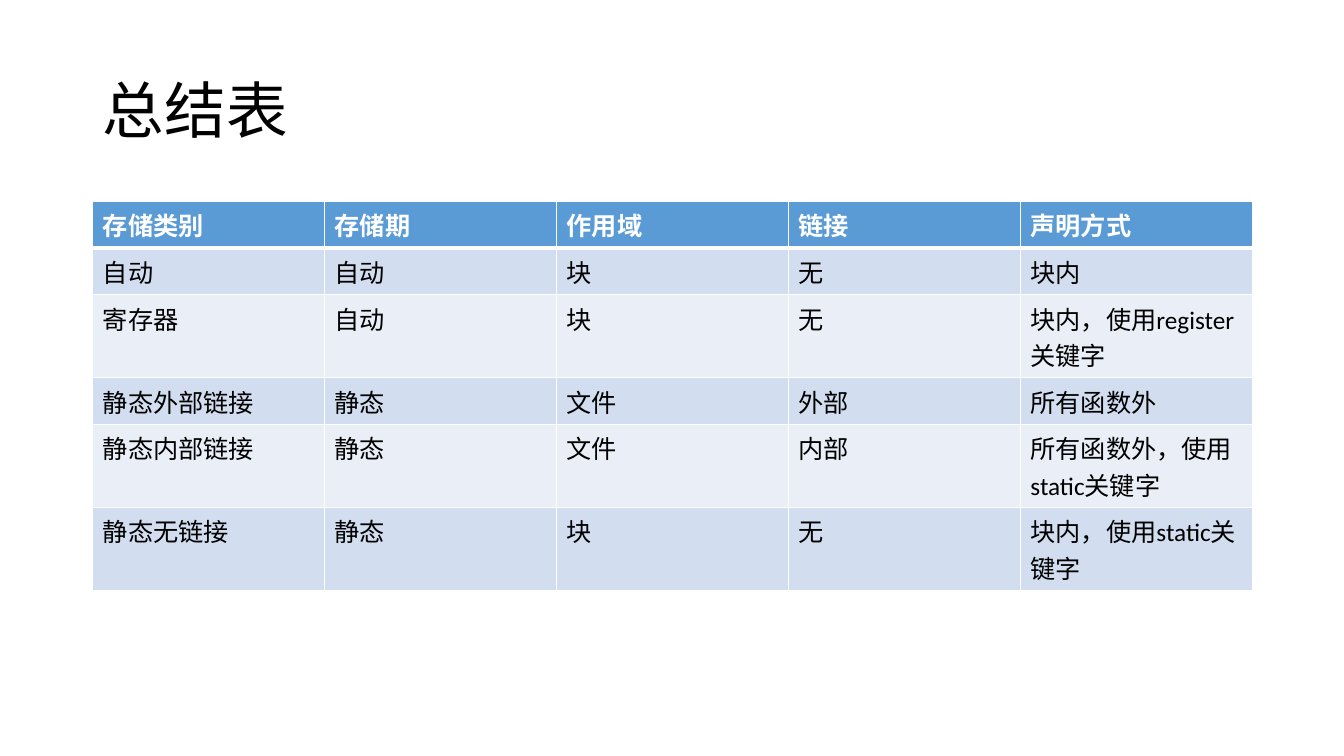
from lxml.etree import SubElement
from pptx import Presentation
from pptx.dml.color import RGBColor
from pptx.enum.lang import MSO_LANGUAGE_ID
from pptx.enum.text import MSO_ANCHOR, MSO_AUTO_SIZE, PP_ALIGN
from pptx.oxml.ns import qn
from pptx.util import Inches, Pt

BLACK = RGBColor(0x00, 0x00, 0x00)
WHITE = RGBColor(0xFF, 0xFF, 0xFF)
HEADER_BLUE = RGBColor(0x5B, 0x9B, 0xD5)
BANDS = (RGBColor(0xD2, 0xDE, 0xEF), RGBColor(0xEA, 0xEF, 0xF7))
FONT = "Calibri"

MARGIN = Inches(0.92)
CONTENT_WIDTH = Inches(11.5)
ROW_HEIGHT = Inches(0.41)

STORAGE_CLASSES = [
    ("存储类别", "存储期", "作用域", "链接", "声明方式"),
    ("自动", "自动", "块", "无", "块内"),
    ("寄存器", "自动", "块", "无", "块内，使用register关键字"),
    ("静态外部链接", "静态", "文件", "外部", "所有函数外"),
    ("静态内部链接", "静态", "文件", "内部", "所有函数外，使用static关键字"),
    ("静态无链接", "静态", "块", "无", "块内，使用static关键字"),
]


def format_text(paragraph, size, color, bold=False):
    for run in paragraph.runs:
        font = run.font
        font.name, font.size, font.bold = FONT, Pt(size), bold
        font.color.rgb = color
        font.language_id = MSO_LANGUAGE_ID.SIMPLIFIED_CHINESE


def add_borders(cell, top, bottom):
    """Draw white cell borders; call before filling, as lines precede the fill."""
    properties = cell._tc.get_or_add_tcPr()
    for side, width in (("L", 1), ("R", 1), ("T", top), ("B", bottom)):
        line = SubElement(properties, qn(f"a:ln{side}"), w=str(Pt(width)))
        fill = SubElement(line, qn("a:solidFill"))
        SubElement(fill, qn("a:srgbClr"), val=str(WHITE))


def place_title(slide, text, left, top, width, height):
    title = slide.shapes.title
    title.left, title.top, title.width, title.height = left, top, width, height
    frame = title.text_frame
    frame.text = text
    frame.auto_size = MSO_AUTO_SIZE.NONE
    frame.vertical_anchor = MSO_ANCHOR.MIDDLE
    heading = frame.paragraphs[0]
    heading.alignment = PP_ALIGN.LEFT
    heading.line_spacing = 0.9
    format_text(heading, 44, BLACK)


def add_summary_table(slide, rows, left, top, width):
    table = slide.shapes.add_table(
        len(rows), len(rows[0]), left, top, width, ROW_HEIGHT * len(rows)
    ).table
    for r, entries in enumerate(rows):
        header = r == 0
        for c, entry in enumerate(entries):
            cell = table.cell(r, c)
            add_borders(cell, top=3 if r == 1 else 1, bottom=3 if header else 1)
            cell.fill.solid()
            cell.fill.fore_color.rgb = HEADER_BLUE if header else BANDS[(r - 1) % 2]
            cell.text_frame.text = entry
            format_text(cell.text_frame.paragraphs[0], 18,
                        WHITE if header else BLACK, bold=header)


def main():
    presentation = Presentation()
    presentation.slide_width = Inches(13.33)
    presentation.slide_height = Inches(7.5)
    slide = presentation.slides.add_slide(presentation.slide_layouts.get_by_name("Title Only"))
    place_title(slide, "总结表", MARGIN, Inches(0.4), CONTENT_WIDTH, Inches(1.45))
    add_summary_table(slide, STORAGE_CLASSES, MARGIN, Inches(2), CONTENT_WIDTH)
    presentation.save("out.pptx")


if __name__ == "__main__":
    main()
